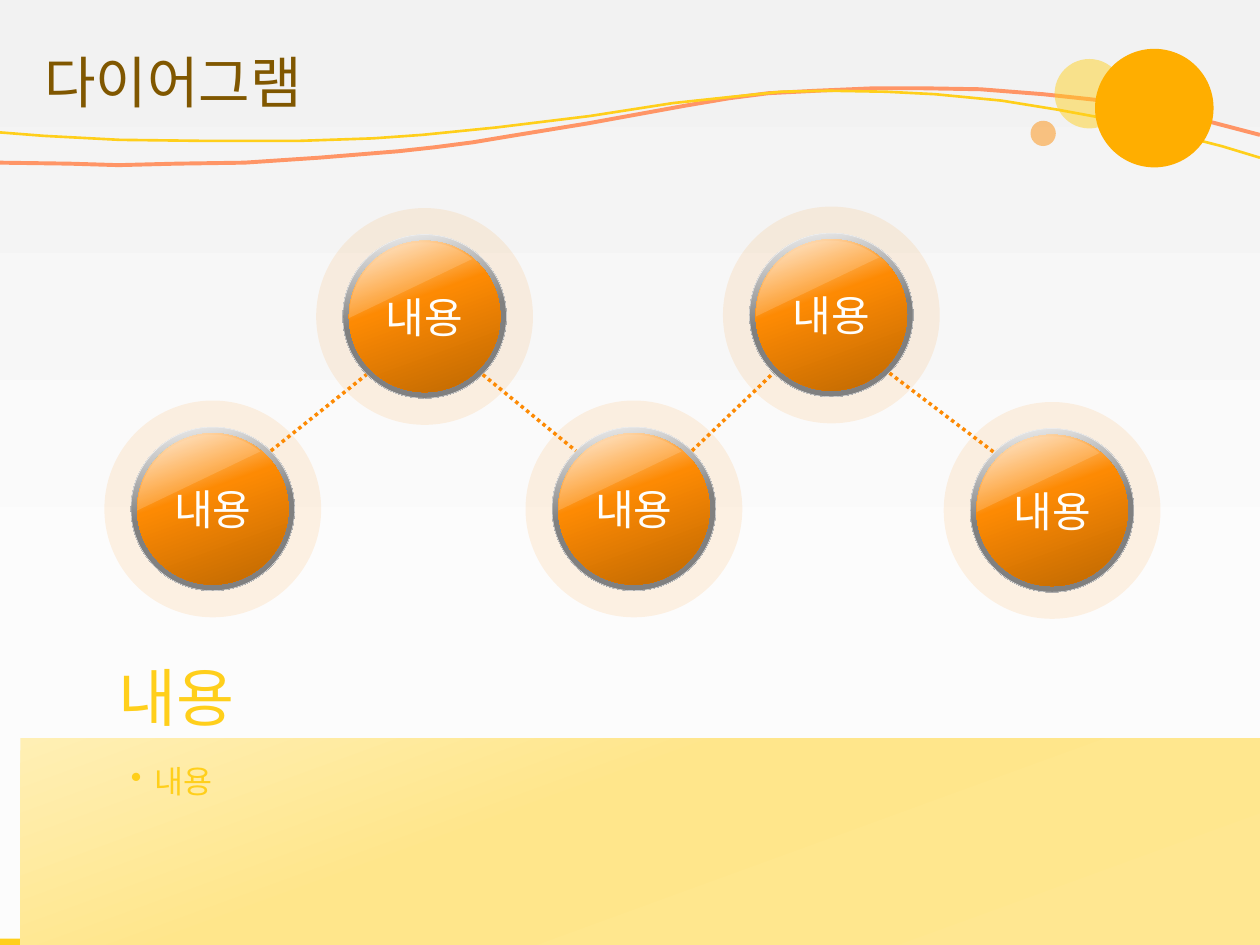
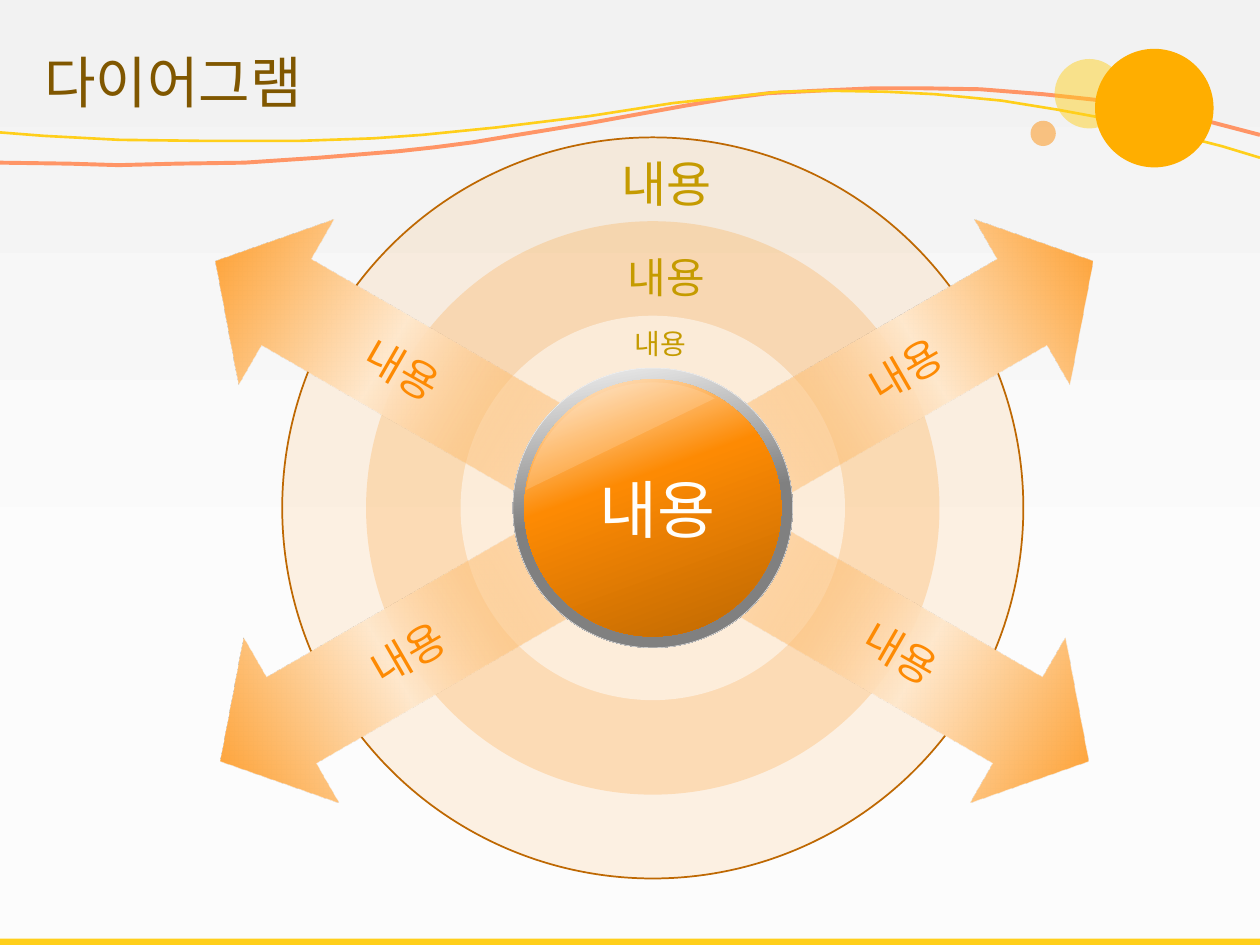
from dataclasses import dataclass
from itertools import pairwise
from typing import NamedTuple

from lxml import etree
from pptx import Presentation
from pptx.dml.color import RGBColor
from pptx.enum.dml import MSO_LINE
from pptx.enum.shapes import MSO_CONNECTOR, MSO_SHAPE
from pptx.enum.text import MSO_ANCHOR, MSO_AUTO_SIZE, PP_ALIGN
from pptx.oxml.ns import qn
from pptx.util import Cm, Pt

OVAL, RECT = MSO_SHAPE.OVAL, MSO_SHAPE.RECTANGLE
CHORD, ARROW = MSO_SHAPE.CHORD, MSO_SHAPE.RIGHT_ARROW
STRAIGHT, DOTS = MSO_CONNECTOR.STRAIGHT, MSO_LINE.ROUND_DOT
TOP, MIDDLE, BOTTOM = MSO_ANCHOR.TOP, MSO_ANCHOR.MIDDLE, MSO_ANCHOR.BOTTOM
LEFT, CENTER = PP_ALIGN.LEFT, PP_ALIGN.CENTER
GROW = MSO_AUTO_SIZE.SHAPE_TO_FIT_TEXT

WIDE, HIGH = 25.4, 19.05
BODY, HEAD = "Cabin", "Noto Sans CJK KR"
WORD = "내용"
HUES = {
    "orange": "FD8A03", "rust": "BE6802", "cream": "FFF3E6", "peach": "FFE8CD",
    "yellow": "FFCF1B", "amber": "FFAE00", "coral": "FF9566", "brown": "805700",
    "olive": "C59B00", "silver": "F2F2F2", "gray": "808080", "snow": "FCFCFC",
    "white": "FFFFFF", "ivory": "FFFEFB",
    "sand": "FFEFB4", "straw": "FFE68B", "wheat": "FFE791",
}


class Stop(NamedTuple):
    hue: str
    at: int = 0
    alpha: int = 100


class Box(NamedTuple):
    left: float
    top: float
    width: float
    height: float


class Paint(NamedTuple):
    """One stop gives a plain fill, more give a gradient."""
    stops: tuple[Stop, ...]
    angle: int = 0


class Edge(NamedTuple):
    hue: str
    width: float


class Style(NamedTuple):
    hue: str
    size: int
    font: str = BODY
    align: PP_ALIGN = LEFT


@dataclass
class Orb:
    x: float
    y: float
    rim: float = 3.3
    ball: float = 3.05
    drop: float = 0.03
    cut: tuple[float, float] = (53.946, 131.298)


@dataclass
class Disc:
    x: float
    y: float
    size: float
    paint: Paint
    edge: Edge | None = None


@dataclass
class Wave:
    edge: Edge
    points: list[tuple[float, float]]


@dataclass
class Spoke:
    x: float
    y: float
    turn: float
    flip: str = ""


@dataclass
class Label:
    box: Box
    style: Style


def plain(hue: str, alpha: int = 100) -> Paint:
    return Paint((Stop(hue, 0, alpha),))


METAL = Paint((Stop("silver"), Stop("gray", 50), Stop("gray", 100)), 80)
GLASS = Paint((Stop("cream"), Stop("orange", 40), Stop("rust", 100)), 70)
SHINE = plain("peach", 20)
GLOW = plain("orange", 10)
FADE = Paint((Stop("orange", 0, 0), Stop("peach", 50), Stop("orange", 100)))
PANEL = Paint((Stop("sand"), Stop("straw", 40), Stop("wheat", 100)), 70)
PAPER = Paint((Stop("silver"), Stop("snow", 67)), 90)

WAVES = [
    Wave(Edge("coral", 2.25), [
        (0, 3.28), (1.4, 3.3), (2.39, 3.33), (3.56, 3.3), (4.93, 3.28),
        (6.43, 3.18), (8.03, 3.05), (8.76, 2.97), (9.53, 2.87), (10.31, 2.74),
        (11.84, 2.49), (13.82, 2.13), (14.71, 1.98), (15.49, 1.88),
        (16.46, 1.83), (17.63, 1.78), (18.57, 1.78), (19.76, 1.8),
        (21.03, 1.9), (22.05, 2.01), (22.81, 2.11), (23.47, 2.24),
        (24.33, 2.44), (WIDE, 2.72)]),
    Wave(Edge("yellow", 1.5), [
        (0, 2.67), (0.89, 2.74), (2.41, 2.82), (4.04, 2.84), (6.05, 2.84),
        (7.52, 2.79), (8.51, 2.72), (10.01, 2.57), (11.89, 2.34),
        (13.56, 2.08), (14.68, 1.96), (15.75, 1.85), (16.71, 1.83),
        (17.86, 1.85), (18.85, 1.9), (20.19, 2.03), (21.31, 2.21),
        (22.56, 2.44), (23.55, 2.67), (24.64, 2.95), (WIDE, 3.18)]),
]
SUNS = [
    Disc(21.96, 1.89, 1.4, plain("yellow", 48)),
    Disc(23.27, 2.18, 2.39, plain("amber")),
    Disc(21.03, 2.69, 0.51, plain("orange", 48)),
]
CHAIN = [Orb(4.29, 10.26), Orb(8.56, 6.38), Orb(12.78, 10.26),
         Orb(16.76, 6.35), Orb(21.21, 10.29)]
HUB = Orb(13.16, 10.24, 5.64, 5.18, 0.06, (59.629, 125.316))
RINGS = [
    Disc(HUB.x, HUB.y, 14.94, GLOW, Edge("rust", 1)),
    Disc(HUB.x, HUB.y, 11.56, plain("orange", 20)),
    Disc(HUB.x, HUB.y, 7.75, plain("white", 50)),
]
SPOKES = [Spoke(18.54, 13.37, 30), Spoke(18.62, 7.23, 330),
          Spoke(7.85, 13.37, 150, "flipV"), Spoke(7.75, 7.23, 30, "flipH")]
LABELS = [
    Label(Box(11.84, 9.37, 3.05, 1.8), Style("ivory", 36)),
    Label(Box(12.55, 6.45, 1.68, 0.94), Style("olive", 16)),
    Label(Box(12.4, 4.95, 2.21, 1.24), Style("olive", 24)),
    Label(Box(12.27, 2.97, 2.51, 1.45), Style("olive", 28)),
]


def color(hue: str) -> RGBColor:
    return RGBColor.from_string(HUES[hue])


def around(x: float, y: float, width: float, height: float) -> Box:
    return Box(x - width / 2, y - height / 2, width, height)


def cms(box: Box) -> list[Cm]:
    return [Cm(side) for side in box]


def tint(parent, stop: Stop) -> None:
    node = etree.SubElement(parent, qn("a:srgbClr"), val=HUES[stop.hue])
    if stop.alpha < 100:
        etree.SubElement(node, qn("a:alpha"), val=str(stop.alpha * 1000))


def coat(fill, holder, paint: Paint) -> None:
    """Fill the holder element of a shape or a background."""
    fill.solid()
    old = holder.find(qn("a:solidFill"))
    if len(paint.stops) == 1:
        new = etree.Element(qn("a:solidFill"))
        tint(new, paint.stops[0])
    else:
        new = etree.Element(qn("a:gradFill"), rotWithShape="1")
        stops = etree.SubElement(new, qn("a:gsLst"))
        for stop in paint.stops:
            tint(etree.SubElement(stops, qn("a:gs"), pos=str(stop.at * 1000)), stop)
        etree.SubElement(new, qn("a:lin"), ang=str(paint.angle * 60000), scaled="0")
    holder.replace(old, new)


def trace(line, edge: Edge | None) -> None:
    if edge is None:
        line.fill.background()
    else:
        line.color.rgb = color(edge.hue)
        line.width = Pt(edge.width)


def draw(slide, kind: MSO_SHAPE, box: Box, paint: Paint, edge: Edge | None = None):
    shape = slide.shapes.add_shape(kind, *cms(box))
    shape.shadow.inherit = False
    coat(shape.fill, shape.element.spPr, paint)
    trace(shape.line, edge)
    return shape


def disc(slide, item: Disc) -> None:
    draw(slide, OVAL, around(item.x, item.y, item.size, item.size), item.paint, item.edge)


def write(shape, text: str, style: Style, anchor: MSO_ANCHOR, wrap: bool = True):
    frame = shape.text_frame
    frame.word_wrap = wrap
    frame.vertical_anchor = anchor
    para = frame.paragraphs[0]
    para.alignment = style.align
    run = para.add_run()
    run.text = text
    run.font.name, run.font.size = style.font, Pt(style.size)
    run.font.color.rgb = color(style.hue)
    return frame


def note(slide, box: Box, text: str, style: Style, anchor: MSO_ANCHOR = TOP,
         wrap: bool = True):
    """Add a text box that grows with its text."""
    frame = write(slide.shapes.add_textbox(*cms(box)), text, style, anchor, wrap)
    frame.auto_size = GROW
    return frame


def swing(slide, wave: Wave) -> None:
    first, *rest = [(Cm(x), Cm(y)) for x, y in wave.points]
    pen = slide.shapes.build_freeform(*first)
    pen.add_line_segments(rest, close=False)
    shape = pen.convert_to_shape()
    shape.shadow.inherit = False
    shape.fill.background()
    trace(shape.line, wave.edge)


def start(deck, title: str):
    """Add a slide with the shared background, waves, suns, band and title."""
    slide = deck.slides.add_slide(deck.slide_layouts[6])
    fill = slide.background.fill
    fill.solid()
    coat(fill, slide.element.find(".//" + qn("p:bgPr")), PAPER)
    for wave in WAVES:
        swing(slide, wave)
    for sun in SUNS:
        disc(slide, sun)
    draw(slide, RECT, Box(0, HIGH - 0.13, WIDE, 0.13), plain("yellow"))
    name = slide.shapes.add_textbox(*cms(Box(0.64, 0.48, 24.1, 2.31)))
    write(name, title, Style("brown", 32, HEAD), MIDDLE)
    return slide


def button(slide, orb: Orb) -> None:
    """Draw a glass ball in a metal rim."""
    disc(slide, Disc(orb.x, orb.y, orb.rim, METAL, Edge("silver", 0.25)))
    disc(slide, Disc(orb.x, orb.y, orb.ball, GLASS))
    box = around(orb.x, orb.y + orb.drop, orb.ball, orb.ball)
    shine = draw(slide, CHORD, box, SHINE)
    shine.rotation = 90
    shine.adjustments[0], shine.adjustments[1] = orb.cut


def link(slide, one: Orb, two: Orb) -> None:
    """Join two rims at their diagonal points."""
    reach = one.rim / 2 * 0.71
    rise = reach if two.y > one.y else -reach
    ends = (one.x + reach, one.y + rise, two.x - reach, two.y - rise)
    line = slide.shapes.add_connector(STRAIGHT, *(Cm(end) for end in ends))
    trace(line.line, Edge("orange", 2))
    line.line.dash_style = DOTS
    etree.SubElement(line.element.spPr, qn("a:effectLst"))


def spoke(slide, item: Spoke) -> None:
    arrow = draw(slide, ARROW, around(item.x, item.y, 7.87, 3.84), FADE)
    arrow.adjustments[0], arrow.adjustments[1] = 0.52, 0.43
    arrow.rotation = item.turn
    if item.flip:
        arrow.element.spPr.xfrm.set(item.flip, "1")
    write(arrow, WORD, Style("orange", 24, align=CENTER), MIDDLE, False)


def zigzag(deck) -> None:
    slide = start(deck, "다이어그램")
    draw(slide, RECT, Box(0.41, 14.88, WIDE - 0.41, HIGH - 14.88), PANEL)
    for orb in CHAIN:
        disc(slide, Disc(orb.x, orb.y, 4.37, GLOW))
        button(slide, orb)
        note(slide, around(orb.x, orb.y, 2.95, 1.27), WORD,
             Style("ivory", 24, align=CENTER))
    for one, two in pairwise(CHAIN):
        link(slide, one, two)
    frame = note(slide, Box(2.39, 15.24, 20.22, 3.3), WORD, Style("yellow", 18))
    props = frame.paragraphs[0]._p.get_or_add_pPr()
    props.set("marL", str(Cm(0.48)))
    props.set("indent", str(-Cm(0.48)))
    etree.SubElement(props, qn("a:buChar"), char="•")
    frame = note(slide, Box(2.39, 13.28, 20.62, 1.52), WORD, Style("yellow", 36), BOTTOM)
    frame.margin_left = frame.margin_right = Cm(0)
    frame.margin_top = frame.margin_bottom = Cm(0)


def radial(deck) -> None:
    slide = start(deck, "다이어그램")
    for ring in RINGS:
        disc(slide, ring)
    for item in SPOKES:
        spoke(slide, item)
    button(slide, HUB)
    for label in LABELS:
        note(slide, label.box, WORD, label.style, wrap=False)


def main() -> None:
    deck = Presentation()
    deck.slide_width, deck.slide_height = Cm(WIDE), Cm(HIGH)
    zigzag(deck)
    radial(deck)
    deck.save("out.pptx")


if __name__ == "__main__":
    main()
